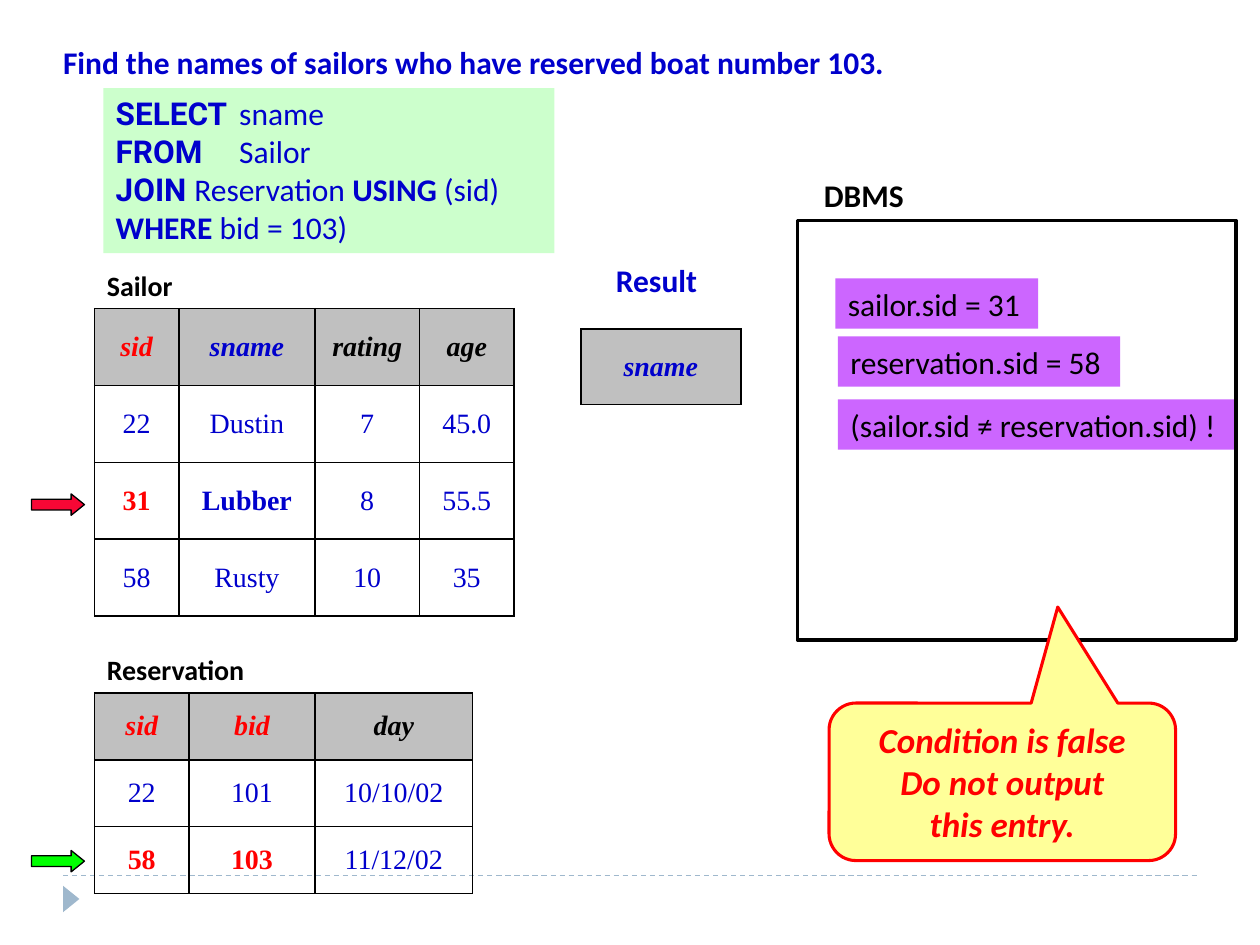
from lxml import etree
from pptx import Presentation
from pptx.dml.color import RGBColor
from pptx.enum.dml import MSO_LINE
from pptx.enum.shapes import MSO_CONNECTOR, MSO_SHAPE
from pptx.enum.text import MSO_ANCHOR as ANCHOR, MSO_AUTO_SIZE as AUTO, PP_ALIGN as ALIGN
from pptx.oxml import parse_xml
from pptx.oxml.ns import nsdecls, qn
from pptx.util import Inches, Pt

COLORS = {
    "black": "000000", "blue": "0000CC", "red": "FF0000", "gray": "C0C0C0",
    "mint": "CCFFCC", "purple": "CC66FF", "yellow": "FFFF99",
    "crimson": "F70735", "green": "00FF00", "steel": "9FB8CD",
}
RGB = {name: RGBColor.from_string(value) for name, value in COLORS.items()}


def style(p, size, color, bold=False, italic=False, name="Calibri"):
    for r in p.runs:
        r.font.size, r.font.name = Pt(size), name
        r.font.bold, r.font.italic = bold, italic
        r.font.color.rgb = RGB[color]


def add_box(kind, box, fill=None, line=None, width=1):
    sp = s.shapes.add_shape(kind, *[Inches(v) for v in box])
    sp.shadow.inherit = False
    if fill:
        sp.fill.solid()
        sp.fill.fore_color.rgb = RGB[fill]
    else:
        sp.fill.background()
    if line:
        sp.line.color.rgb = RGB[line]
        sp.line.width = Pt(width)
    else:
        sp.line.fill.background()
    return sp


prs = Presentation()
prs.slide_width, prs.slide_height = Inches(10), Inches(7.5)
s = prs.slides.add_slide(prs.slide_layouts[5])

footer = s.shapes.add_connector(
    MSO_CONNECTOR.STRAIGHT, Inches(0.5), Inches(6.95), Inches(9.5), Inches(6.95))
footer.line.color.rgb = RGB["steel"]
footer.line.width = Pt(0.75)
footer.line.dash_style = MSO_LINE.DASH
etree.SubElement(footer._element.spPr, qn("a:effectLst"))
marker = add_box(MSO_SHAPE.ISOSCELES_TRIANGLE, (0.46, 7.07, 0.21, 0.13), "steel")
marker.rotation = 90

title = s.shapes.title
title.left, title.top, title.width, title.height = [
    Inches(v) for v in (0.4, 0.29, 7.55, 0.4)]
tf = title.text_frame
tf.text = "Find the names of sailors who have reserved boat number 103."
tf.auto_size, tf.word_wrap, tf.vertical_anchor = AUTO.NONE, True, ANCHOR.TOP
tf.paragraphs[0].alignment = ALIGN.LEFT
style(tf.paragraphs[0], 18, "blue", bold=True)

captions = [
    ("Sailor", (0.75, 2.08, 0.81, 0.37), 16, "black"),
    ("Reservation", (0.75, 5.13, 1.46, 0.37), 16, "black"),
    ("Result", (4.79, 2.02, 0.97, 0.4), 18, "blue"),
    ("DBMS", (6.44, 1.35, 1.51, 0.4), 18, "black"),
]
for text, box, size, color in captions:
    tf = s.shapes.add_textbox(*[Inches(v) for v in box]).text_frame
    tf.text = text
    tf.word_wrap = text == "DBMS"
    style(tf.paragraphs[0], size, color, bold=True)

HEADER_COLORS = {"sid": "red", "bid": "red", "sname": "blue"}
tables = [
    (0.75, 2.45, [0.67, 1.08, 0.83, 0.75], 0.61,
     [["sid", "sname", "rating", "age"],
      ["22", "Dustin", "7", "45.0"],
      ["31", "Lubber", "8", "55.5"],
      ["58", "Rusty", "10", "35"]],
     {(2, 0): "red", (2, 1): "blue"}),
    (0.75, 5.5, [0.75, 1, 1.25], 0.53,
     [["sid", "bid", "day"],
      ["22", "101", "10/10/02"],
      ["58", "103", "11/12/02"]],
     {(2, 0): "red", (2, 1): "red"}),
    (4.61, 2.61, [1.27], 0.6, [["sname"]], {}),
]
for left, top, widths, height, rows, marks in tables:
    table = s.shapes.add_table(
        len(rows), len(widths), Inches(left), Inches(top),
        Inches(sum(widths)), Inches(height * len(rows))).table
    for col, width in zip(table.columns, widths):
        col.width = Inches(width)
    for i, row in enumerate(rows):
        table.rows[i].height = Inches(height)
        for j, text in enumerate(row):
            cell = table.cell(i, j)
            cell.text = text
            cell.vertical_anchor = ANCHOR.MIDDLE
            p = cell.text_frame.paragraphs[0]
            p.alignment = ALIGN.CENTER
            if i == 0:
                cell.fill.solid()
                cell.fill.fore_color.rgb = RGB["gray"]
                style(p, 16, HEADER_COLORS.get(text, "black"), True, True, "Times New Roman")
            else:
                cell.fill.background()
                style(p, 16, marks.get((i, j), "blue"), (i, j) in marks,
                      name="Times New Roman")
            tcPr = cell._tc.get_or_add_tcPr()
            for k, side in enumerate(("lnL", "lnR", "lnT", "lnB")):
                tcPr.insert(k, parse_xml(
                    f'<a:{side} {nsdecls("a")} w="12700"><a:solidFill>'
                    f'<a:srgbClr val="{COLORS["black"]}"/></a:solidFill></a:{side}>'))

query = [
    [("SELECT", "Roboto", True), ("\tsname", "Calibri", False)],
    [("FROM", "Roboto", True), ("\tSailor", "Calibri", False)],
    [("JOIN ", "Roboto", True), ("Reservation ", "Calibri", False),
     ("USING", "Calibri", True), (" (sid)", "Calibri", False)],
    [("WHERE", "Calibri", True), (" bid = 103)", "Calibri", False)],
]
tf = add_box(MSO_SHAPE.RECTANGLE, (0.82, 0.7, 3.58, 1.31), "mint").text_frame
tf.word_wrap, tf.vertical_anchor = True, ANCHOR.TOP
for i, parts in enumerate(query):
    p = tf.paragraphs[0] if i == 0 else tf.add_paragraph()
    p.alignment = ALIGN.LEFT
    tabs = etree.SubElement(p._p.get_or_add_pPr(), qn("a:tabLst"))
    etree.SubElement(tabs, qn("a:tab"), pos=str(Inches(0.98)), algn="l")
    for text, name, bold in parts:
        r = p.add_run()
        r.text = text
        r.font.size, r.font.name, r.font.bold = Pt(18), name, bold
        r.font.color.rgb = RGB["blue"]

conditions = [
    ("sailor.sid = 31", 6.63, 2.21, 1.61),
    ("reservation.sid = 58", 6.65, 2.67, 2.24),
    ("(sailor.sid ≠ reservation.sid) !", 6.65, 3.17, 3.16),
]
for text, left, top, width in conditions:
    tf = add_box(MSO_SHAPE.RECTANGLE, (left, top, width, 0.4), "purple").text_frame
    tf.text = text
    tf.word_wrap, tf.vertical_anchor = False, ANCHOR.TOP
    tf.paragraphs[0].alignment = ALIGN.LEFT
    style(tf.paragraphs[0], 18, "black")

add_box(MSO_SHAPE.RECTANGLE, (6.33, 1.75, 3.48, 3.33), line="black", width=2)

for top, color in ((3.92, "crimson"), (6.75, "green")):
    arrow = add_box(MSO_SHAPE.RIGHT_ARROW, (0.25, top, 0.42, 0.17), color, "black", 0.75)
    arrow.adjustments[1] = 0.62

callout = add_box(MSO_SHAPE.ROUNDED_RECTANGULAR_CALLOUT, (6.58, 5.58, 2.75, 1.25),
                  "yellow", "red", 1.75)
for i, value in enumerate((0.16, -1.11, 0.17)):
    callout.adjustments[i] = value
tf = callout.text_frame
tf.text = "Condition is false\nDo not output\nthis entry."
tf.vertical_anchor = ANCHOR.MIDDLE
for p in tf.paragraphs:
    p.alignment = ALIGN.CENTER
    style(p, 20, "red", bold=True, italic=True)

prs.save("out.pptx")
